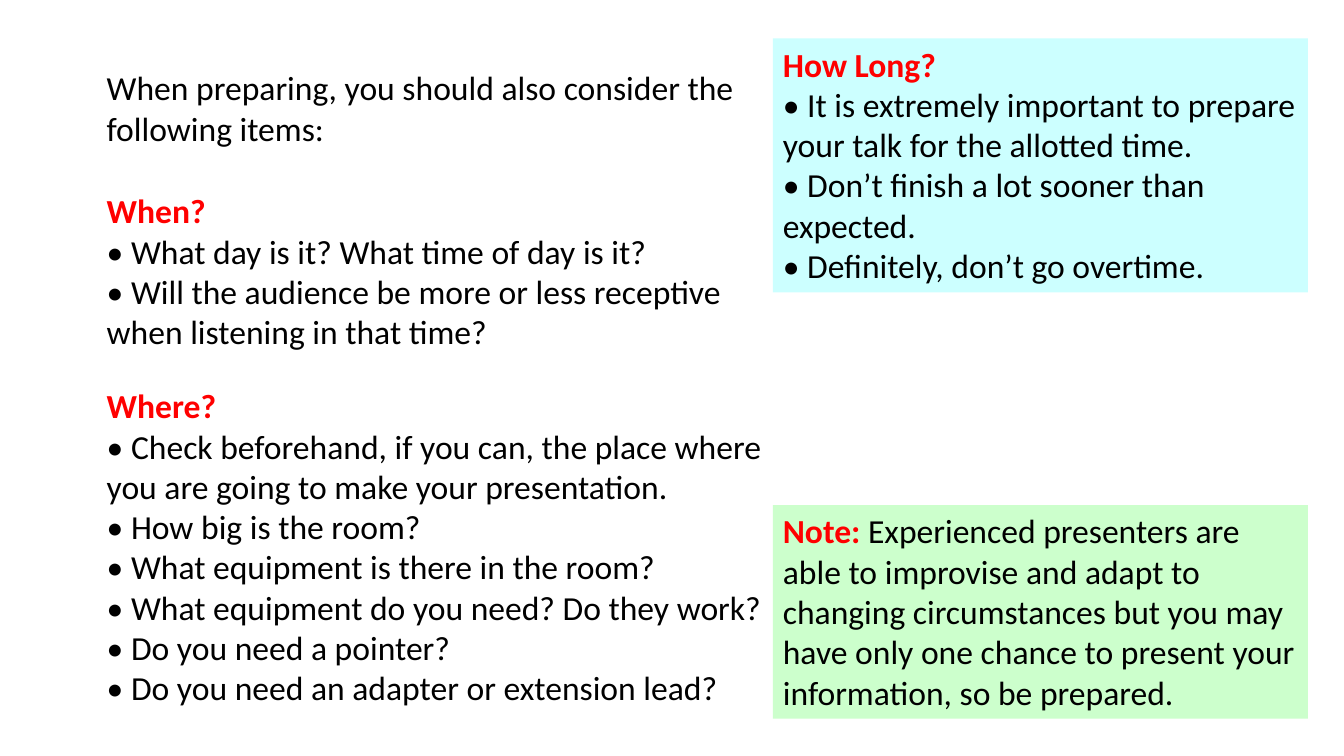
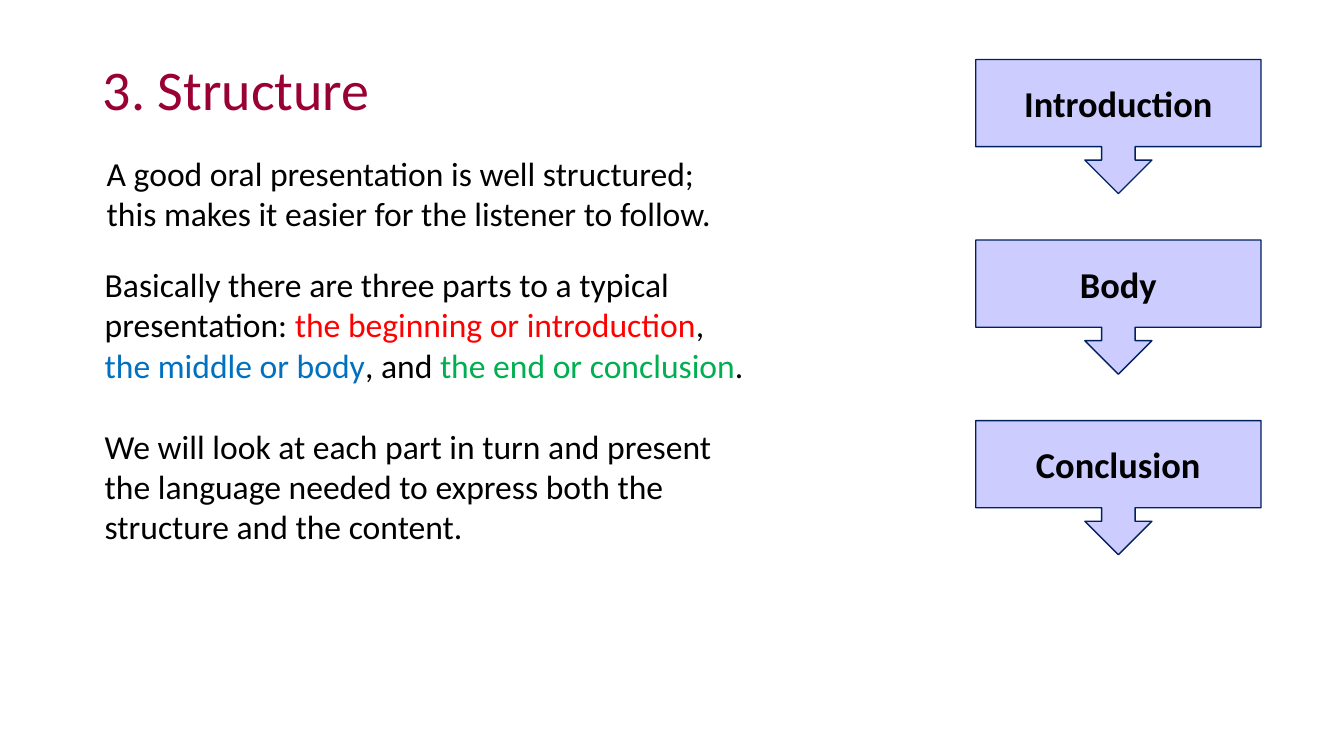
from pptx import Presentation
from pptx.dml.color import RGBColor
from pptx.enum import shapes, text
from pptx.util import Cm, Pt

FONT = "Calibri"
BODY_SIZE, CALLOUT_SIZE, TITLE_SIZE = Pt(24), Pt(26), Pt(40)
BLACK = RGBColor(0x00, 0x00, 0x00)
RED = RGBColor(0xFF, 0x00, 0x00)
BLUE = RGBColor(0x00, 0x70, 0xC0)
GREEN = RGBColor(0x00, 0xB0, 0x50)
CRIMSON = RGBColor(0x99, 0x00, 0x33)
NAVY = RGBColor(0x00, 0x20, 0x60)
PALE_CYAN = RGBColor(0xCC, 0xFF, 0xFF)
PALE_GREEN = RGBColor(0xCC, 0xFF, 0xCC)
LAVENDER = RGBColor(0xCC, 0xCC, 0xFF)

# Content: a paragraph is a string, or a list of (text, colour, bold) runs
INTRO = ["When preparing, you should also consider the following items:"]
WHEN = [
    [("When?", RED, True)],
    "• What day is it? What time of day is it?",
    "• Will the audience be more or less receptive when listening in that time?",
]
WHERE = [
    [("Where?", RED, True)],
    "• Check beforehand, if you can, the place where you are going to make your presentation.",
    "• How big is the room?",
    "• What equipment is there in the room?",
    "• What equipment do you need? Do they work?",
    "• Do you need a pointer?",
    "• Do you need an adapter or extension lead?",
]
HOW_LONG = [
    [("How Long?", RED, True)],
    "• It is extremely important to prepare your talk for the allotted time.",
    "• Don’t finish a lot sooner than expected.",
    "• Definitely, don’t go overtime.",
]
NOTE = [[
    ("Note:", RED, True),
    (" Experienced presenters are able to improvise and adapt to changing circumstances "
     "but you may have only one chance to present your information, so be prepared.", BLACK, False),
]]
TITLE = "3. Structure"
PURPOSE = ["A good oral presentation is well structured; "
           "this makes it easier for the listener to follow."]
PARTS = [
    [
        ("Basically there are three parts to a typical presentation: ", BLACK, False),
        ("the beginning or introduction", RED, False),
        (", ", BLACK, False),
        ("the middle or body", BLUE, False),
        (", and ", BLACK, False),
        ("the end or conclusion", GREEN, False),
        (".", BLACK, False),
    ],
    "We will look at each part in turn and present the language needed "
    "to express both the structure and the content.",
]
CALLOUTS = ["Introduction", "Body", "Conclusion"]

# Placement in centimetres: left, top, width, height
PREPARING_TEXTS = [
    (INTRO, (2.44, 1.57, 16.92, 2.31)),
    (WHEN, (2.44, 4.67, 17.05, 4.37)),
    (WHERE, (2.44, 9.58, 17.05, 8.46)),
]
PREPARING_PANELS = [
    (HOW_LONG, (19.48, 0.97, 13.48, 6.4), PALE_CYAN),
    (NOTE, (19.48, 12.73, 13.48, 5.38), PALE_GREEN),
]
TITLE_BOX = (2.34, 0.48, 16.87, 3.68)
PURPOSE_BOX = (2.44, 3.73, 16.23, 2.31)
PARTS_BOX = (2.39, 6.53, 16.81, 7.44)
CALLOUT_LEFT, CALLOUT_TOP, CALLOUT_STEP = 24.59, 1.5, 4.55
CALLOUT_WIDTH, CALLOUT_HEIGHT = 7.19, 3.38


def write(sp, paragraphs, size=BODY_SIZE, color=BLACK, bold=False,
          align=text.PP_ALIGN.LEFT, anchor=text.MSO_ANCHOR.TOP, gap=Pt(0)):
    tf = sp.text_frame
    tf.word_wrap = True
    tf.vertical_anchor = anchor
    for i, content in enumerate(paragraphs):
        p = tf.add_paragraph() if i else tf.paragraphs[0]
        p.alignment = align
        p.font.name, p.font.size = FONT, size
        if i:
            p.space_before = gap
        if isinstance(content, str):
            content = [(content, color, bold)]
        for words, run_color, run_bold in content:
            r = p.add_run()
            r.text = words
            r.font.color.rgb, r.font.bold = run_color, run_bold
    return tf


def add_text(s, paragraphs, box, **style):
    return write(s.shapes.add_textbox(*map(Cm, box)), paragraphs, **style)


def add_filled(s, kind, paragraphs, box, fill, line=None, **style):
    sp = s.shapes.add_shape(kind, *map(Cm, box))
    sp.shadow.inherit = False
    sp.fill.solid()
    sp.fill.fore_color.rgb = fill
    if line is None:
        sp.line.fill.background()
    else:
        sp.line.color.rgb, sp.line.width = line, Pt(1)
    write(sp, paragraphs, **style)


def build_preparing(s):
    for paragraphs, box in PREPARING_TEXTS:
        add_text(s, paragraphs, box)
    for paragraphs, box, fill in PREPARING_PANELS:
        add_filled(s, shapes.MSO_SHAPE.RECTANGLE, paragraphs, box, fill)


def build_structure(s):
    tf = add_text(s, [TITLE], TITLE_BOX, size=TITLE_SIZE, color=CRIMSON,
                  anchor=text.MSO_ANCHOR.MIDDLE)
    tf.paragraphs[0].line_spacing = 0.9
    add_text(s, PURPOSE, PURPOSE_BOX)
    add_text(s, PARTS, PARTS_BOX, gap=Pt(29))
    # Column of equally spaced arrow callouts
    for i, label in enumerate(CALLOUTS):
        box = (CALLOUT_LEFT, CALLOUT_TOP + i * CALLOUT_STEP, CALLOUT_WIDTH, CALLOUT_HEIGHT)
        add_filled(s, shapes.MSO_SHAPE.DOWN_ARROW_CALLOUT, [label], box, LAVENDER, NAVY,
                   size=CALLOUT_SIZE, bold=True, align=text.PP_ALIGN.CENTER,
                   anchor=text.MSO_ANCHOR.MIDDLE)


def main():
    prs = Presentation()
    prs.slide_width, prs.slide_height = Cm(33.87), Cm(19.05)
    for build in (build_preparing, build_structure):
        build(prs.slides.add_slide(prs.slide_layouts[6]))
    prs.save("out.pptx")


if __name__ == "__main__":
    main()
